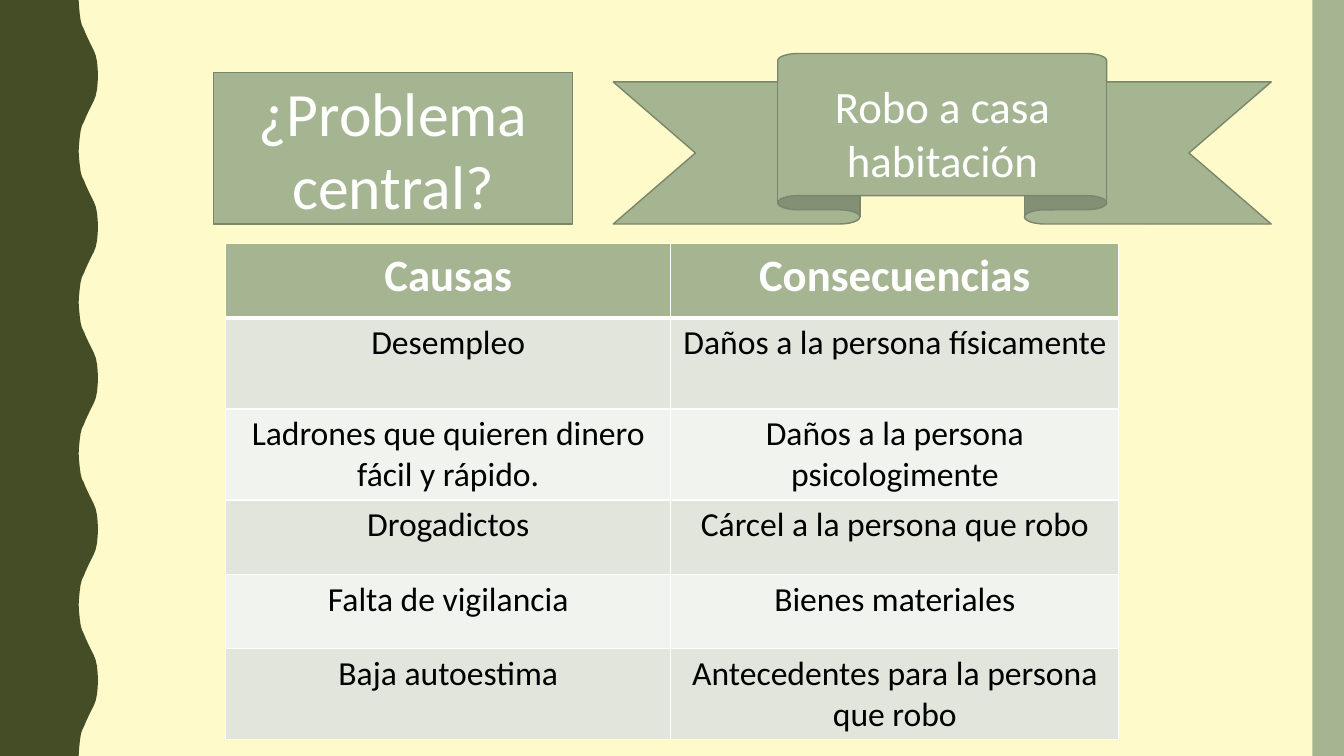
from dataclasses import dataclass

from lxml.etree import SubElement
from pptx import Presentation
from pptx.dml.color import RGBColor
from pptx.enum.shapes import MSO_SHAPE
from pptx.enum.text import MSO_ANCHOR, PP_ALIGN
from pptx.oxml.ns import qn
from pptx.shapes.autoshape import Shape
from pptx.slide import Slide
from pptx.table import _Cell
from pptx.text.text import TextFrame
from pptx.util import Pt

CREAM = RGBColor(0xFE, 0xFA, 0xC9)
OLIVE = RGBColor(0x44, 0x4D, 0x26)
SAGE = RGBColor(0xA5, 0xB5, 0x92)
SAGE_OUTLINE = RGBColor(0x7A, 0x86, 0x6C)
BAND_DARK = RGBColor(0xE1, 0xE5, 0xDC)
BAND_LIGHT = RGBColor(0xF0, 0xF3, 0xEE)
WHITE = RGBColor(0xFF, 0xFF, 0xFF)
BLACK = RGBColor(0, 0, 0)
FONT = "Calibri"
SLIDE_WIDTH = 960
SLIDE_HEIGHT = 540


@dataclass(frozen=True)
class Box:
    left: float
    top: float
    width: float
    height: float

    def lengths(self) -> tuple[Pt, Pt, Pt, Pt]:
        return Pt(self.left), Pt(self.top), Pt(self.width), Pt(self.height)


@dataclass(frozen=True)
class Block:
    preset: MSO_SHAPE
    box: Box
    outline: RGBColor | None = None
    text: str = ""


@dataclass(frozen=True)
class TableRow:
    cause: str
    consequence: str
    height: float


BLOCKS = [
    Block(MSO_SHAPE.RECTANGLE, Box(937.5, 0, 22.5, SLIDE_HEIGHT)),
    Block(MSO_SHAPE.RECTANGLE, Box(152.5, 52, 256.5, 108), SAGE_OUTLINE, "¿Problema central?"),
    Block(MSO_SHAPE.UP_RIBBON, Box(438, 38.2, 470, 121.8), SAGE_OUTLINE),
]
RIBBON_TEXT_BOX = Box(576.7, 52.6, 193, 85)

TABLE_BOX = Box(161.2, 174.2, 638, 354)
COLUMN_WIDTHS = [318, 320]
TABLE_ROWS = [
    TableRow("Causas", "Consecuencias", 53),
    TableRow("Desempleo", "Daños a la persona físicamente", 65),
    TableRow("Ladrones que quieren dinero fácil y rápido.", "Daños a la persona psicologimente", 65),
    TableRow("Drogadictos", "Cárcel a la persona que robo", 53),
    TableRow("Falta de vigilancia", "Bienes materiales", 53),
    TableRow("Baja autoestima", "Antecedentes para la persona que robo", 65),
]

WAVE_PERIOD = 108
WAVE_COUNT = 5
HALF_WAVE = [
    (56.2, 0), (56.5, 5), (57, 10), (57.6, 14.4), (58.5, 18),
    (60, 21), (61.2, 24), (62.6, 27), (64, 30), (65.5, 33),
    (67, 36), (68.4, 39.6), (69.3, 44), (69.8, 49), (70, 54),
]


def write_text(frame: TextFrame, text: str, size: float, color: RGBColor, bold: bool = False) -> None:
    frame.text = text
    frame.word_wrap = True
    paragraph = frame.paragraphs[0]
    paragraph.alignment = PP_ALIGN.CENTER
    font = paragraph.runs[0].font
    font.name = FONT
    font.size = Pt(size)
    font.bold = bold
    font.color.rgb = color


def paint(shape: Shape, fill: RGBColor, outline: RGBColor | None = None) -> None:
    shape.shadow.inherit = False
    shape.fill.solid()
    shape.fill.fore_color.rgb = fill
    if outline is None:
        shape.line.fill.background()
    else:
        shape.line.color.rgb = outline
        shape.line.width = Pt(1)


def draw_wavy_edge(slide: Slide) -> None:
    wave = HALF_WAVE + [(x, WAVE_PERIOD - y) for x, y in HALF_WAVE[-2::-1]]
    vertices = [
        (Pt(x), Pt(y + index * WAVE_PERIOD))
        for index in range(WAVE_COUNT)
        for x, y in wave
    ]
    builder = slide.shapes.build_freeform(0, 0)
    builder.add_line_segments(vertices + [(0, Pt(SLIDE_HEIGHT))], close=True)
    paint(builder.convert_to_shape(), OLIVE)


def draw_block(slide: Slide, block: Block) -> None:
    shape = slide.shapes.add_shape(block.preset, *block.box.lengths())
    paint(shape, SAGE, block.outline)
    if block.text:
        write_text(shape.text_frame, block.text, 44, WHITE)
        shape.text_frame.vertical_anchor = MSO_ANCHOR.MIDDLE


def set_borders(cell: _Cell, widths: dict[str, float]) -> None:
    properties = cell._tc.get_or_add_tcPr()
    for side, width in widths.items():
        line = SubElement(properties, qn(f"a:{side}"), w=str(Pt(width)))
        fill = SubElement(line, qn("a:solidFill"))
        SubElement(fill, qn("a:srgbClr"), val=str(WHITE))


def draw_table(slide: Slide) -> None:
    frame = slide.shapes.add_table(len(TABLE_ROWS), len(COLUMN_WIDTHS), *TABLE_BOX.lengths())
    table = frame.table
    for column, width in zip(table.columns, COLUMN_WIDTHS):
        column.width = Pt(width)
    for row_index, row in enumerate(TABLE_ROWS):
        table.rows[row_index].height = Pt(row.height)
        is_header = row_index == 0
        band = BAND_DARK if row_index % 2 else BAND_LIGHT
        top = 3 if row_index == 1 else 1
        bottom = 3 if is_header else 1
        for column_index, text in enumerate((row.cause, row.consequence)):
            cell = table.cell(row_index, column_index)
            set_borders(cell, {"lnL": 1, "lnR": 1, "lnT": top, "lnB": bottom})
            cell.fill.solid()
            cell.fill.fore_color.rgb = SAGE if is_header else band
            write_text(
                cell.text_frame,
                text,
                32 if is_header else 24,
                WHITE if is_header else BLACK,
                is_header,
            )


def main() -> None:
    presentation = Presentation()
    presentation.slide_width = Pt(SLIDE_WIDTH)
    presentation.slide_height = Pt(SLIDE_HEIGHT)
    slide = presentation.slides.add_slide(presentation.slide_layouts[6])
    slide.background.fill.solid()
    slide.background.fill.fore_color.rgb = CREAM
    draw_wavy_edge(slide)
    for block in BLOCKS:
        draw_block(slide, block)
    ribbon_label = slide.shapes.add_textbox(*RIBBON_TEXT_BOX.lengths())
    write_text(ribbon_label.text_frame, "Robo a casa habitación", 32, WHITE)
    draw_table(slide)
    presentation.save("out.pptx")


if __name__ == "__main__":
    main()
